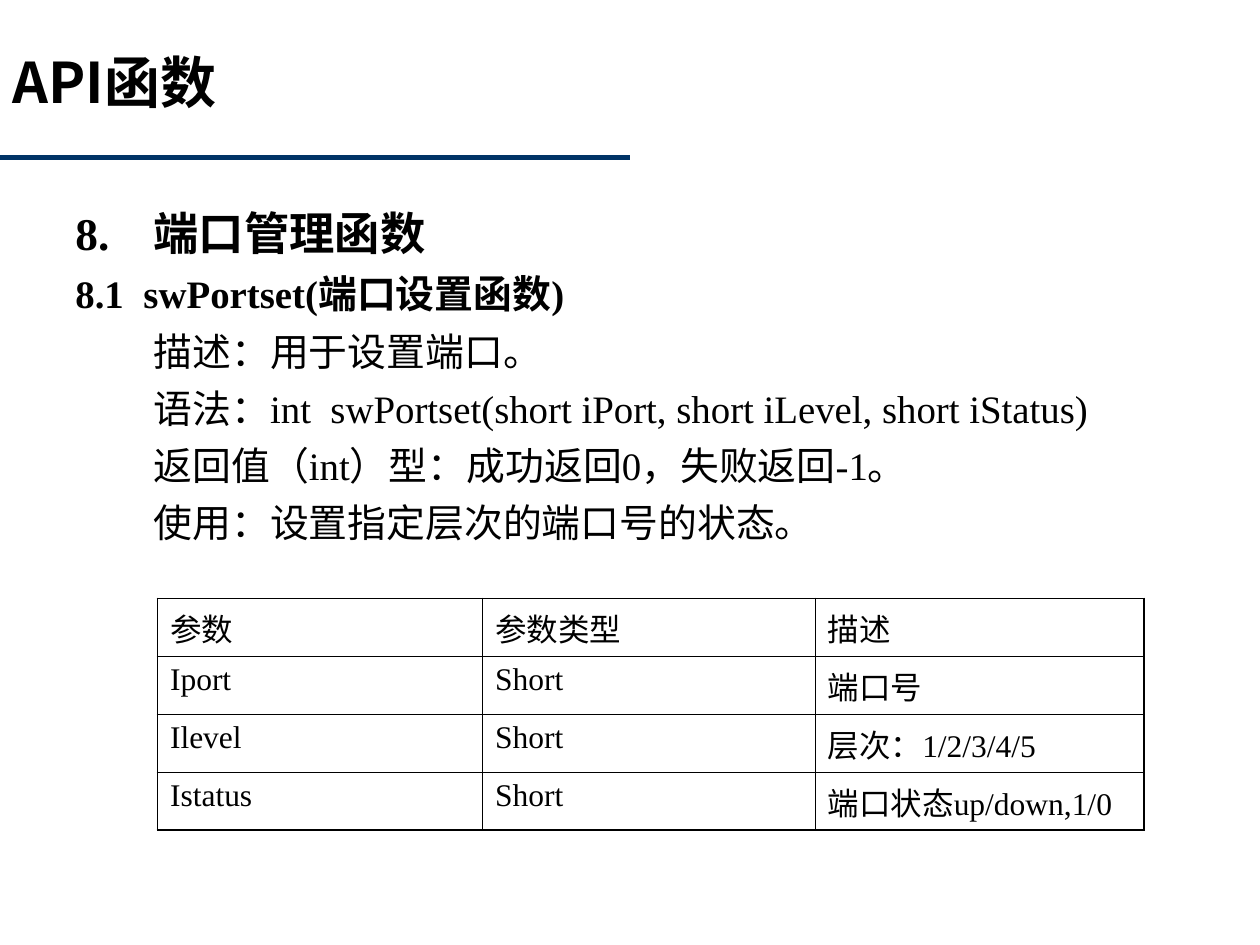
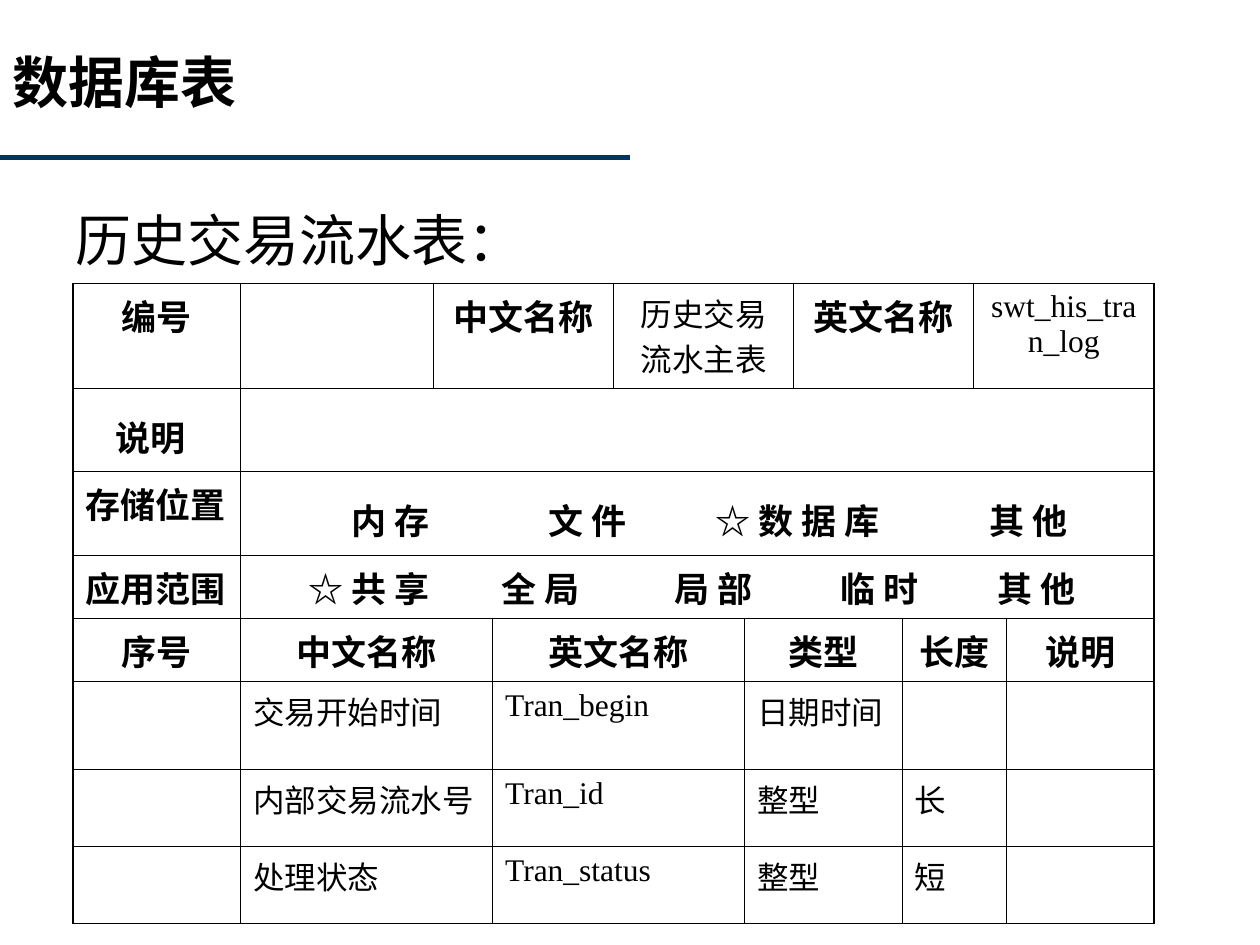
import pptx
import pptx.dml.color
import pptx.enum.shapes
import pptx.enum.text
import pptx.oxml.ns
import pptx.util
from lxml import etree

Inches = pptx.util.Inches
Pt = pptx.util.Pt
qn = pptx.oxml.ns.qn
ALIGN = pptx.enum.text.PP_ALIGN

BLACK = pptx.dml.color.RGBColor(0x00, 0x00, 0x00)
NAVY = pptx.dml.color.RGBColor(0x00, 0x33, 0x66)
BODY_FONT = "Times New Roman"
CHINESE_FONT = "Noto Sans CJK SC"

TITLE_BOX = (-0.5, 0.33, 8.08, 1.25)
THIN, THICK = 0.45, 1.08
LABEL_SIZE, VALUE_SIZE = 20, 18


def add_span(para, text, size, bold=False, font=BODY_FONT):
    span = para.add_run()
    span.text = text
    span.font.size = Pt(size)
    span.font.bold = bold
    span.font.name = font
    span.font.color.rgb = BLACK
    east_asian = etree.SubElement(span.font._element, qn("a:ea"))
    east_asian.set("typeface", CHINESE_FONT)


def set_indent(para, left, first):
    properties = para._p.get_or_add_pPr()
    properties.set("marL", str(Inches(left)))
    properties.set("indent", str(Inches(first)))


def set_tabs(para, stops):
    tab_list = etree.SubElement(para._p.get_or_add_pPr(), qn("a:tabLst"))
    for stop in stops:
        etree.SubElement(tab_list, qn("a:tab"), pos=str(Inches(stop)), algn="l")


def add_text_box(page, box):
    frame = page.shapes.add_textbox(*map(Inches, box)).text_frame
    frame.word_wrap = True
    return frame


def add_page(deck, title):
    """Add a page with the shared title and the rule below it."""
    page = deck.slides.add_slide(deck.slide_layouts[6])
    rule = page.shapes.add_connector(
        pptx.enum.shapes.MSO_CONNECTOR.STRAIGHT,
        Inches(0), Inches(1.25), Inches(5), Inches(1.25))
    rule.line.color.rgb = NAVY
    rule.line.width = Pt(3)
    etree.SubElement(rule._element.spPr, qn("a:effectLst"))

    frame = add_text_box(page, TITLE_BOX)
    frame.margin_left = Inches(0.6)
    add_span(frame.paragraphs[0], title, 32, True, CHINESE_FONT)
    return page


def set_borders(cell, widths):
    """Draw the left, right, top and bottom edges in the given widths."""
    properties = cell._tc.get_or_add_tcPr()
    for side, width in zip("LRTB", widths):
        edge = etree.SubElement(properties, qn(f"a:ln{side}"), w=str(Pt(width)))
        fill = etree.SubElement(edge, qn("a:solidFill"))
        etree.SubElement(fill, qn("a:srgbClr"), val=str(BLACK))


def add_grid(page, left, top, columns, rows, spans):
    """Add a ruled table and return its visible cells, row by row."""
    table = page.shapes.add_table(
        len(rows), len(columns), Inches(left), Inches(top),
        Inches(sum(columns)), Inches(sum(rows))).table
    table.first_row = False
    table.horz_banding = False
    for column, width in zip(table.columns, columns):
        column.width = Inches(width)
    for row, height in zip(table.rows, rows):
        row.height = Inches(height)

    grid = []
    for r, row_spans in enumerate(spans):
        cells, c = [], 0
        for span in row_spans:
            cell = table.cell(r, c)
            if span > 1:
                cell.merge(table.cell(r, c + span - 1))
            outer = (c == 0, c + span == len(columns), r == 0, r == len(rows) - 1)
            set_borders(cell, [THICK if edge else THIN for edge in outer])
            cell.fill.background()
            cells.append(cell)
            c += span
        grid.append(cells)
    return grid


def fill_cell(cell, text, size=VALUE_SIZE, bold=False, align=ALIGN.LEFT):
    para = cell.text_frame.paragraphs[0]
    para.alignment = align
    if text:
        add_span(para, text, size, bold)
    return para


def fill_label(cell, text, align=ALIGN.CENTER):
    return fill_cell(cell, text, LABEL_SIZE, True, align)


def add_function_text(page, box):
    frame = add_text_box(page, box)
    detail = (22.2, False, 1.03, -0.41)
    lines = [
        ("8.\t端口管理函数", 25.9, True, 0.62, -0.62),
        ("8.1\tswPortset(端口设置函数)", 22.2, True, 0.54, -0.54),
        ("描述：用于设置端口。", *detail),
        ("语法：int  swPortset(short iPort, short iLevel, short iStatus)", *detail),
        ("返回值（int）型：成功返回0，失败返回-1。", *detail),
        ("使用：设置指定层次的端口号的状态。", *detail),
    ]
    for number, (text, size, bold, left, first) in enumerate(lines):
        para = frame.add_paragraph() if number else frame.paragraphs[0]
        if number:
            para.space_before = Pt(6)
        if not bold:
            para.level = 1
        set_indent(para, left, first)
        add_span(para, text, size, bold)


def add_parameter_table(page, left, top):
    parameters = [
        ("参数", "参数类型", "描述"),
        ("Iport", "Short", "端口号"),
        ("Ilevel", "Short", "层次：1/2/3/4/5"),
        ("Istatus", "Short", "端口状态up/down,1/0"),
    ]
    grid = add_grid(page, left, top, [2.58, 2.64, 2.61],
                    [0.46] * len(parameters), [[1] * 3] * len(parameters))
    for cells, texts in zip(grid, parameters):
        for cell, text in zip(cells, texts):
            fill_cell(cell, text)


def add_log_table(page, left, top):
    columns = [1.33, 1.53, 0.47, 0.96, 1.04, 0.39, 0.86, 0.57, 0.26, 1.17]
    rows = [0.83, 0.66, 0.67, 0.5, 0.5, 0.7, 0.61, 0.61]
    spans = [[1, 1, 2, 2, 2, 2]] + [[1, 9]] * 3 + [[1, 2, 2, 2, 2, 1]] * 4
    names, note, storage, scope, heads, *fields = add_grid(
        page, left, top, columns, rows, spans)

    for cell, text in zip(names[::2], ("编号", "中文名称", "英文名称")):
        fill_label(cell, text)
    for cell, text in zip(names[1::2], ("", "历史交易流水主表", "swt_his_tran_log")):
        fill_cell(cell, text, align=ALIGN.CENTER)

    fill_label(note[0], "说明")
    note[0].margin_right = Inches(0.2)
    for cell in (note[0], storage[1]):
        cell.margin_top = Inches(0.18)

    choices = [
        (storage, "存储位置", ("内 存", "文 件", "☆ 数 据 库", "其 他"),
         (0.78, 2.34, 3.67, 5.84)),
        (scope, "应用范围", ("☆ 共 享", "全 局", "局 部", "临 时", "其 他"),
         (0.44, 1.97, 3.34, 4.66, 5.91)),
    ]
    for (label, options), name, texts, stops in choices:
        fill_label(label, name, ALIGN.LEFT)
        para = fill_label(options, "".join("\t" + text for text in texts), ALIGN.LEFT)
        set_tabs(para, stops)

    for cell, text in zip(heads, ("序号", "中文名称", "英文名称", "类型", "长度", "说明")):
        fill_label(cell, text)
    records = [
        ("交易开始时间", "Tran_begin", "日期时间", ""),
        ("内部交易流水号", "Tran_id", "整型", "长"),
        ("处理状态", "Tran_status", "整型", "短"),
    ]
    for cells, texts in zip(fields, records):
        for cell, text in zip(cells[1:], texts):
            fill_cell(cell, text)


def build_function_page(deck):
    page = add_page(deck, "API函数")
    add_function_text(page, (0.5, 1.58, 8.92, 3.33))
    add_parameter_table(page, 1.25, 4.75)


def build_database_page(deck):
    page = add_page(deck, "数据库表")
    para = add_text_box(page, (0.5, 1.58, 8.92, 0.67)).paragraphs[0]
    para.alignment = ALIGN.JUSTIFY
    set_indent(para, 0.38, -0.38)
    add_span(para, "历史交易流水表：", 32)
    add_log_table(page, 0.58, 2.25)


def main():
    deck = pptx.Presentation()
    deck.slide_width = Inches(10)
    deck.slide_height = Inches(7.5)
    build_function_page(deck)
    build_database_page(deck)
    deck.save("out.pptx")


if __name__ == "__main__":
    main()
